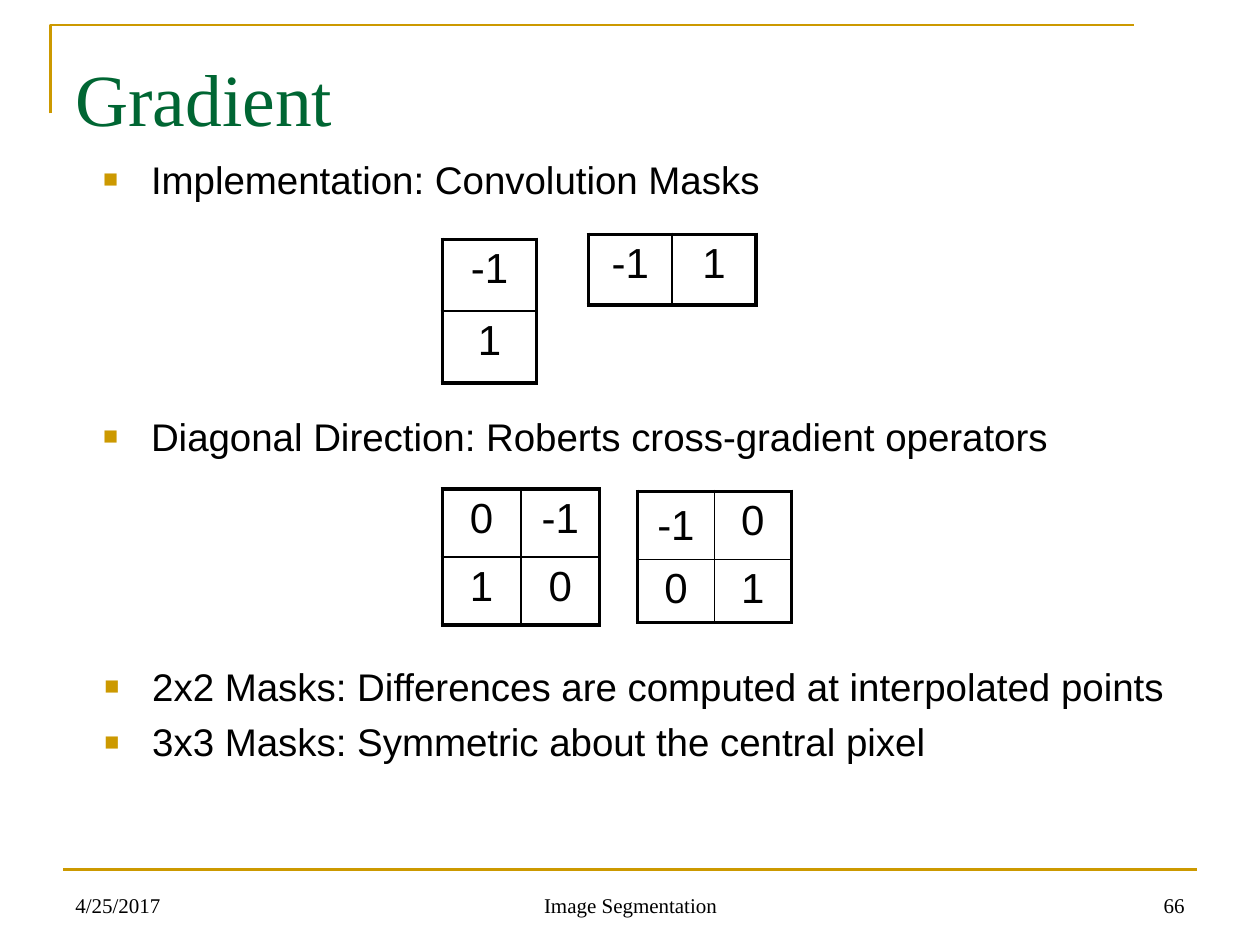
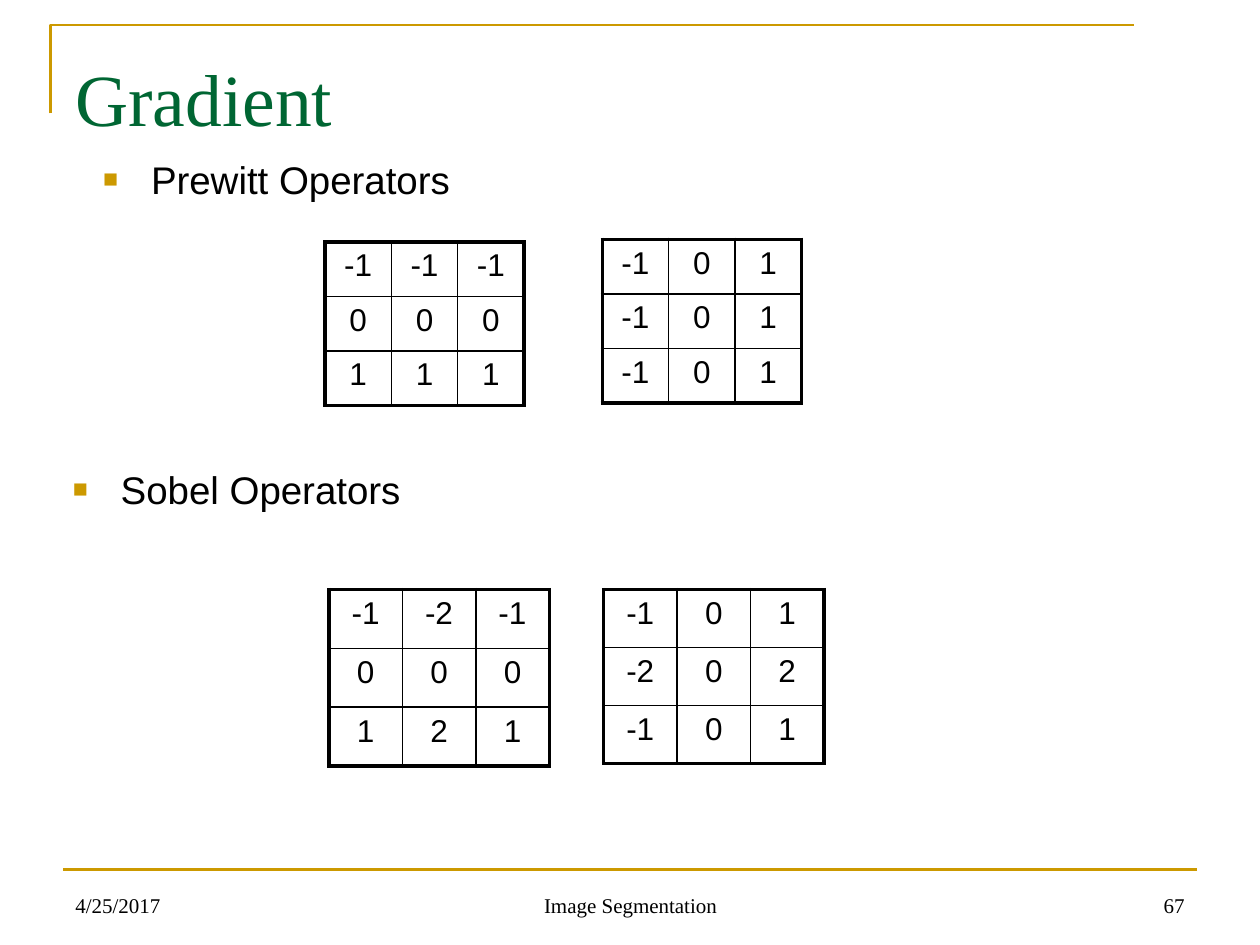
from lxml.etree import SubElement
from pptx import Presentation
from pptx.dml.color import RGBColor
from pptx.enum.shapes import MSO_CONNECTOR
from pptx.enum.text import MSO_ANCHOR, PP_ALIGN
from pptx.oxml.ns import qn
from pptx.util import Inches, Pt

# The slide is a grid of 100 columns by 75 rows of square units.
UNIT = Inches(0.1)
COLUMNS, ROWS = 100, 75
GOLD, GREEN, BLACK = "CC9900", "006633", "000000"
SERIF, SANS = "Times New Roman", "Arial"
OUTER, INNER = Pt(2.25), Pt(1)
INDENT = Inches(0.38)
color = RGBColor.from_string


def add_text(slide, area, lines, size, font=SERIF, ink=BLACK,
             align=PP_ALIGN.LEFT, anchor=MSO_ANCHOR.TOP, bullets=False):
    """Place lines of text in an area given in grid units."""
    box = slide.shapes.add_textbox(*[int(UNIT * n) for n in area])
    frame = box.text_frame
    frame.word_wrap = True
    frame.vertical_anchor = anchor
    frame.text = "\n".join(lines)
    for number, para in enumerate(frame.paragraphs):
        para.alignment = align
        if number:
            para.space_before = Pt(5.5)
        if bullets:
            props = para._p.get_or_add_pPr()
            props.set("marL", str(INDENT))
            props.set("indent", str(-INDENT))
            tint = SubElement(props, qn("a:buClr"))
            SubElement(tint, qn("a:srgbClr"), val=GOLD)
            SubElement(props, qn("a:buSzPct"), val="65000")
            SubElement(props, qn("a:buFont"), typeface=SANS)
            SubElement(props, qn("a:buChar"), char="■")
        for span in para.runs:
            span.font.size = Pt(size)
            span.font.name = font
            span.font.color.rgb = color(ink)
    return frame


def add_mask(slide, left, top, width, height, values, size):
    """Draw a convolution mask: thick outer border, thin inner lines."""
    row_count, column_count = len(values), len(values[0])
    area = [int(UNIT * n) for n in (left, top, width, height)]
    table = slide.shapes.add_table(row_count, column_count, *area).table
    table.first_row = table.horz_banding = False
    for r, row in enumerate(values):
        for c, value in enumerate(row):
            cell = table.cell(r, c)
            cell.text = str(value)
            para = cell.text_frame.paragraphs[0]
            para.alignment = PP_ALIGN.CENTER
            span = para.runs[0]
            span.font.size = Pt(size)
            span.font.name = SANS
            span.font.color.rgb = color(BLACK)
            on_edge = {"lnL": c == 0, "lnR": c == column_count - 1,
                       "lnT": r == 0, "lnB": r == row_count - 1}
            for side, outside in on_edge.items():
                line = SubElement(cell._tc.get_or_add_tcPr(), qn(f"a:{side}"),
                                  w=str(OUTER if outside else INNER))
                fill = SubElement(line, qn("a:solidFill"))
                SubElement(fill, qn("a:srgbClr"), val=BLACK)
            cell.fill.background()
    return table


deck = Presentation()
deck.slide_width, deck.slide_height = UNIT * COLUMNS, UNIT * ROWS
slides = []

# Frame, title and footer shared by both slides
for page_number in (66, 67):
    slide = deck.slides.add_slide(deck.slide_layouts[6])
    slides.append(slide)

    corner = slide.shapes.build_freeform(4.2, 9.2, scale=UNIT)
    corner.add_line_segments([(4.2, 2.5), (89.5, 2.5)], close=False)
    frame_line = corner.convert_to_shape()
    frame_line.fill.background()
    frame_line.shadow.inherit = False

    rule = slide.shapes.add_connector(
        MSO_CONNECTOR.STRAIGHT, UNIT * 5, UNIT * 69, UNIT * 95, UNIT * 69)
    SubElement(rule._element.spPr, qn("a:effectLst"))
    for shape in (frame_line, rule):
        shape.line.color.rgb = color(GOLD)
        shape.line.width = Pt(1.5)

    for left, width, label, align in (
            (5, 23.3, "4/25/2017", PP_ALIGN.LEFT),
            (34.2, 31.7, "Image Segmentation", PP_ALIGN.CENTER),
            (71.7, 23.3, str(page_number), PP_ALIGN.RIGHT)):
        add_text(slide, (left, 68.3, width, 5), [label], 12,
                 align=align, anchor=MSO_ANCHOR.BOTTOM)

    title = add_text(slide, (5, 3, 90, 12.5), ["Gradient"], 42, ink=GREEN)
    title.margin_top = Inches(0.12)

# Bulleted statements
masks_slide, operators_slide = slides
for slide, left, top, lines in (
        (masks_slide, 7.2, 11.9, ["Implementation: Convolution Masks"]),
        (masks_slide, 7.2, 32.3,
         ["Diagonal Direction: Roberts cross-gradient operators"]),
        (masks_slide, 7.3, 52.1,
         ["2x2 Masks: Differences are computed at interpolated points",
          "3x3 Masks: Symmetric about the central pixel"]),
        (operators_slide, 7.2, 11.9, ["Prewitt Operators"]),
        (operators_slide, 4.8, 36.5, ["Sobel Operators"])):
    add_text(slide, (left, top, 86.2, 4.9), lines, 22, SANS, bullets=True)

# Gradient and Roberts masks
add_mask(masks_slide, 46.7, 18.6, 13.3, 5.6, [(-1, 1)], 24)
add_mask(masks_slide, 35.1, 19, 7.5, 11.4, [(-1,), (1,)], 24)
add_mask(masks_slide, 35.1, 38.8, 12.5, 10.8, [(0, -1), (1, 0)], 24)
roberts = add_mask(masks_slide, 50.6, 39, 12.2, 10.8, [(-1, 0), (0, 1)], 24)
roberts.rows[1].height = int(UNIT * 4.8)
roberts.cell(0, 0).vertical_anchor = MSO_ANCHOR.MIDDLE

# Each 3x3 operator is a smoothing profile, differenced down or across
for profile, width, down_area, across_area in (
        ((1, 1, 1), 15.8, (25.8, 19.2, 13), (47.8, 19, 13)),
        ((1, 2, 1), 17.5, (26.1, 46.8, 14), (47.9, 46.8, 13.8))):
    down = [[sign * weight for weight in profile] for sign in (-1, 0, 1)]
    across = list(zip(*down))
    for values, (left, top, height) in ((down, down_area),
                                        (across, across_area)):
        add_mask(operators_slide, left, top, width, height, values, 18)

deck.save("out.pptx")
